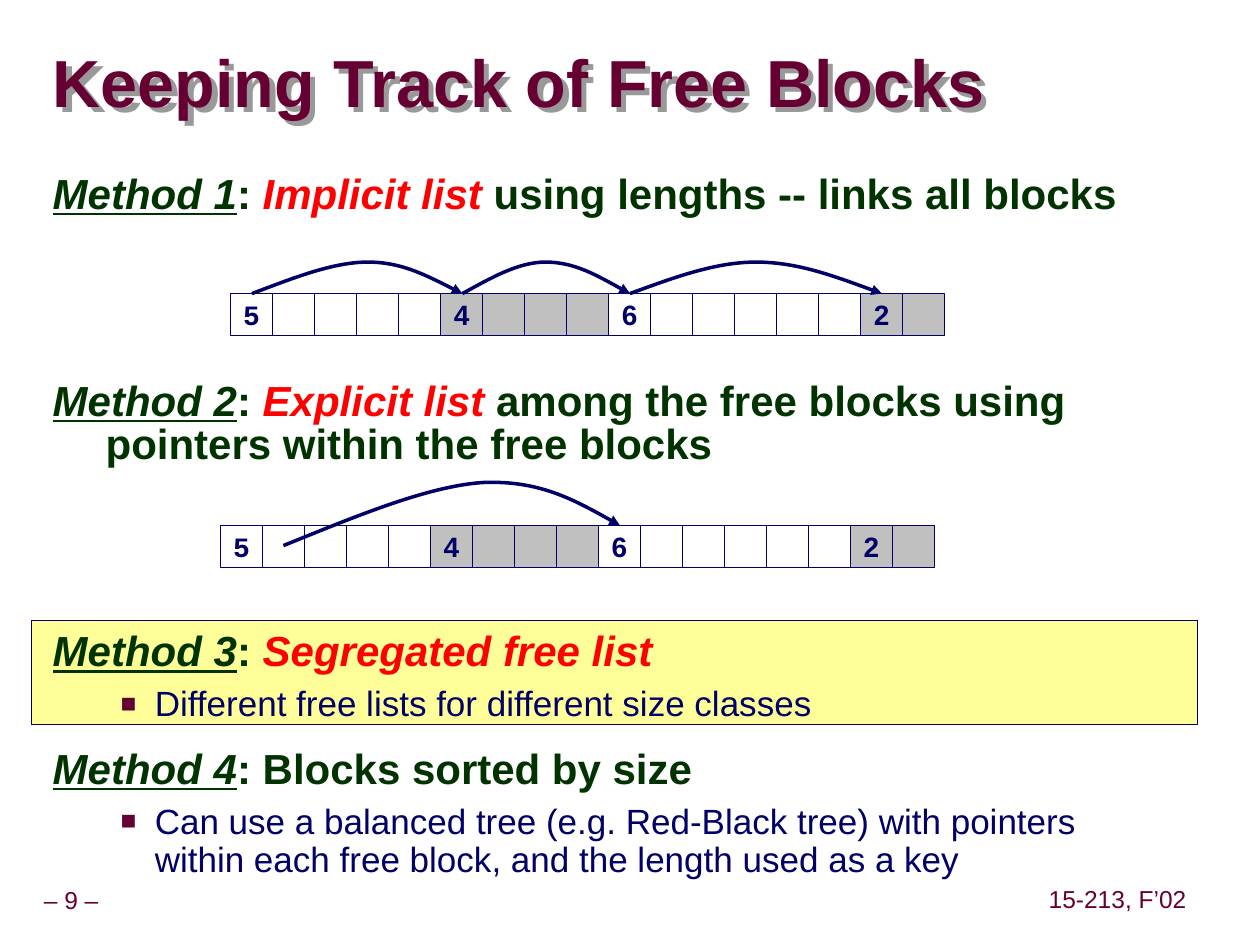
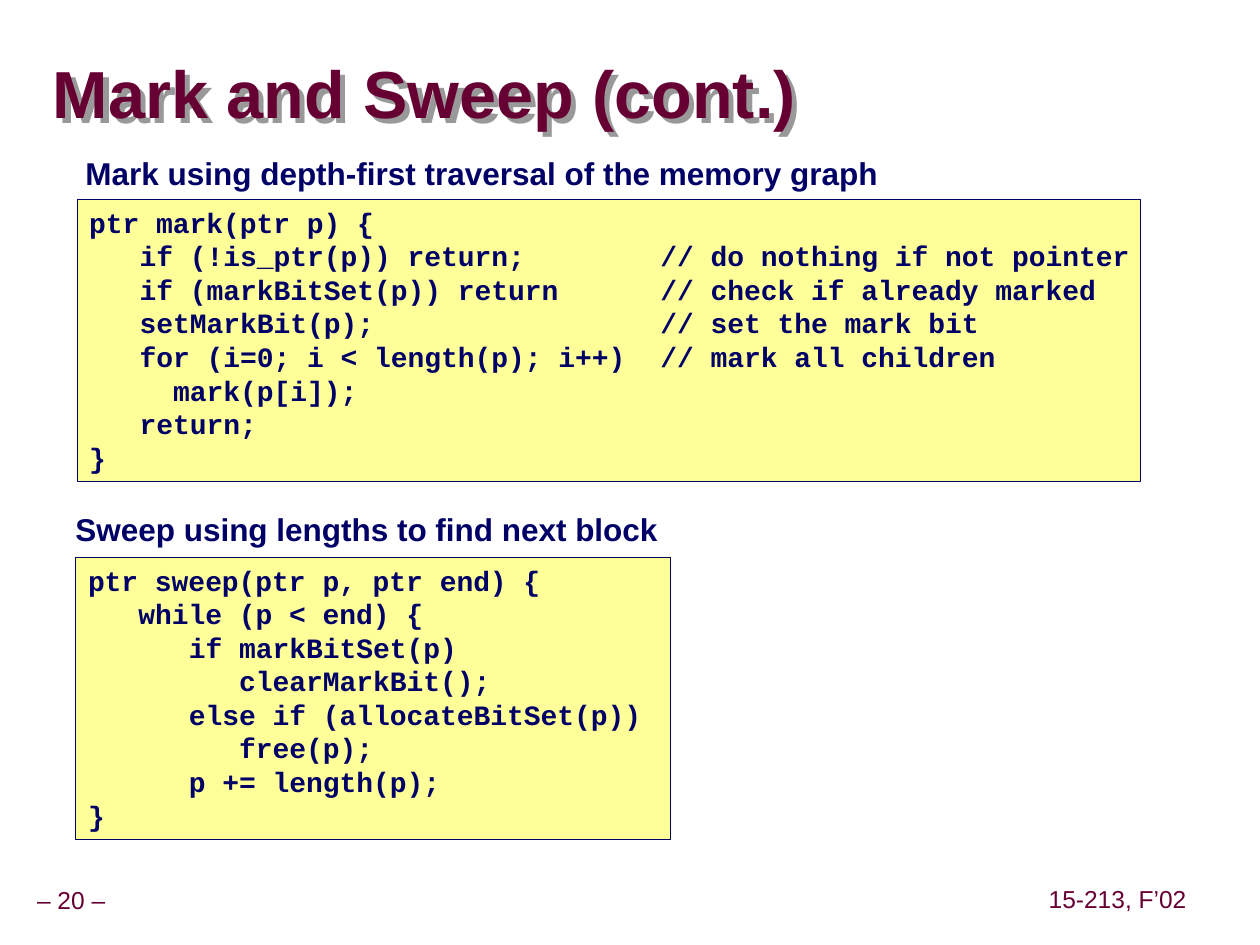
from lxml.etree import SubElement
from pptx import Presentation
from pptx.dml.color import RGBColor
from pptx.enum.dml import MSO_LINE
from pptx.enum.shapes import MSO_SHAPE
from pptx.enum.text import MSO_ANCHOR as Anchor, PP_ALIGN as Align
from pptx.oxml.ns import qn
from pptx.util import Inches, Pt

COLOURS = {
    "maroon": "660033", "green": "003300", "navy": "000066", "red": "FF0000",
    "yellow": "FFFF99", "grey": "C0C0C0", "white": "FFFFFF", "shadow": "999999",
}
SANS, MONO = "Arial", "Courier New"
COURSE = "15-213, F’02"

# Free block methods: label, highlighted name, rest, bullet, space before
METHODS = [
    ("Method 1", "Implicit list", " using lengths -- links all blocks", None, 15),
    ("Method 2", "Explicit list",
     " among the free blocks using pointers within the free blocks", None, 94),
    ("Method 3", "Segregated free list", "",
     "Different free lists for different size classes", 94),
    ("Method 4", "", "Blocks sorted by size",
     "Can use a balanced tree (e.g. Red-Black tree) with pointers within each "
     "free block, and the length used as a key", 15),
]
# Heap blocks: length in cells, fill
BLOCKS = [(5, "white"), (4, "grey"), (6, "white"), (2, "grey")]
HEAP_ROWS = [(1.83, 2.33), (1.75, 4.17)]
CELL = 1 / 3
# Pointer curves: start point, then three points for each Bezier segment
POINTERS = [
    [(2.25, 4.33), (2.82, 4.1), (3.39, 3.86), (3.83, 3.83),
     (4.28, 3.81), (4.6, 3.99), (4.92, 4.17)],
    [(2, 2.33), (2.32, 2.21), (2.64, 2.08), (2.92, 2.08),
     (3.19, 2.08), (3.43, 2.21), (3.67, 2.33)],
    [(3.67, 2.33), (3.89, 2.21), (4.11, 2.08), (4.33, 2.08),
     (4.56, 2.08), (4.78, 2.21), (5, 2.33)],
    [(5, 2.33), (5.33, 2.21), (5.67, 2.08), (6, 2.08),
     (6.33, 2.08), (6.67, 2.21), (7, 2.33)],
]

# Code listings: heading, its place, code place, tab columns, lines
LISTINGS = [
    ("Mark using depth-first traversal of the memory graph",
     (0.58, 1.17, 8.42, 0.4), (0.61, 1.58, 8.44, 2.24), (3, 5, 34), [
         "ptr mark(ptr p) {",
         "\tif (!is_ptr(p)) return;\t// do nothing if not pointer",
         "\tif (markBitSet(p)) return\t// check if already marked",
         "\tsetMarkBit(p);\t// set the mark bit",
         "\tfor (i=0; i < length(p); i++)\t// mark all children",
         "\t\tmark(p[i]);",
         "\treturn;",
         "}",
     ]),
    ("Sweep using lengths to find next block",
     (0.5, 4, 8.42, 0.4), (0.6, 4.42, 4.72, 2.24), (3, 6, 9), [
         "ptr sweep(ptr p, ptr end) {",
         "\twhile (p < end) {",
         "\t\tif markBitSet(p)",
         "\t\t\tclearMarkBit();",
         "\t\telse if (allocateBitSet(p))",
         "\t\t\tfree(p);",
         "\t\tp += length(p);",
         "}",
     ]),
]
CODE_SIZE = 16
CODE_COLUMN = 0.6 * CODE_SIZE / 72  # width of one character in inches


def colour(name):
    return RGBColor.from_string(COLOURS[name])


def set_font(font, size, tint, bold=False, face=SANS):
    font.name, font.size, font.bold = face, Pt(size), bold
    font.color.rgb = colour(tint)


def set_frame(frame, anchor=Anchor.TOP, insets=(0.1, 0.05, 0.1, 0.05), wrap=True):
    frame.word_wrap, frame.vertical_anchor = wrap, anchor
    (frame.margin_left, frame.margin_top,
     frame.margin_right, frame.margin_bottom) = map(Inches, insets)


def add_text(page, place, text, size, tint, bold=False, spacing=None,
             align=Align.LEFT, **layout):
    box = page.shapes.add_textbox(*map(Inches, place))
    set_frame(box.text_frame, **layout)
    para = box.text_frame.paragraphs[0]
    para.text, para.alignment, para.line_spacing = text, align, spacing
    set_font(para.font, size, tint, bold)
    return box


def add_panel(page, place, fill):
    panel = page.shapes.add_shape(MSO_SHAPE.RECTANGLE, *map(Inches, place))
    panel.shadow.inherit = False
    panel.fill.solid()
    panel.fill.fore_color.rgb = colour(fill)
    panel.line.color.rgb = colour("navy")
    panel.line.width = Pt(0.25)
    return panel


def add_title(page, place, text):
    title = add_text(page, place, text, 38, "maroon", True, 0.87,
                     anchor=Anchor.MIDDLE, insets=(0, 0, 0, 0))
    effects = SubElement(title._element.spPr, qn("a:effectLst"))
    shadow = SubElement(effects, qn("a:outerShdw"), dist=str(Inches(0.06)),
                        dir="2700000", algn="ctr", rotWithShape="0")
    SubElement(shadow, qn("a:srgbClr"), val=COLOURS["shadow"])


def add_page(deck, number, title, title_place):
    page = deck.slides.add_slide(deck.slide_layouts[6])
    for text, place in ((f"– {number} –", (-0.09, 7, 1.31, 0.31)),
                        (COURSE, (8.27, 6.99, 1.2, 0.31))):
        add_text(page, place, text, 14, "maroon", spacing=0.9, align=Align.CENTER,
                 anchor=Anchor.MIDDLE, insets=(0.05,) * 4, wrap=False)
    if number == 9:  # highlight band lies behind the text of method 3
        band = add_panel(page, (0.25, 4.92, 9.25, 0.83), "yellow")
        band.line.dash_style = MSO_LINE.ROUND_DOT
    add_title(page, title_place, title)
    return page


def set_indent(para, left, first):
    props = para._p.get_or_add_pPr()
    props.set("marL", str(Inches(left)))
    props.set("indent", str(Inches(first)))
    return props


def add_methods(page):
    frame = page.shapes.add_textbox(*map(Inches, (0.32, 1.34, 9.09, 5.71))).text_frame
    set_frame(frame)
    for index, (label, name, rest, bullet, before) in enumerate(METHODS):
        para = frame.add_paragraph() if index else frame.paragraphs[0]
        para.line_spacing, para.space_before = 0.85, Pt(before)
        set_indent(para, 0.42, -0.42)
        for text, tint, italic, underline in (
                (label, "green", True, True), (": ", "green", False, False),
                (name, "red", True, False), (rest, "green", False, False)):
            if text:
                span = para.add_run()
                span.text = text
                set_font(span.font, 24, tint, True)
                span.font.italic, span.font.underline = italic, underline
        if bullet:
            add_bullet(frame, bullet)


def add_bullet(frame, text):
    para = frame.add_paragraph()
    para.text, para.line_spacing, para.space_before = text, 0.9, Pt(6.2)
    props = set_indent(para, 0.81, -0.27)
    tint = SubElement(props, qn("a:buClr"))
    SubElement(tint, qn("a:srgbClr"), val=COLOURS["maroon"])
    SubElement(props, qn("a:buSzPct"), val="75000")
    SubElement(props, qn("a:buFont"), typeface=SANS)
    SubElement(props, qn("a:buChar"), char="■")
    set_font(para.font, 20, "navy")


def add_heap(page, left, top):
    column = 0
    for length, fill in BLOCKS:
        for offset in range(length):
            cell = add_panel(page, (left + column * CELL, top, CELL, CELL), fill)
            if offset == 0:
                set_frame(cell.text_frame, Anchor.MIDDLE, wrap=False)
                para = cell.text_frame.paragraphs[0]
                para.text, para.alignment = str(length), Align.CENTER
                set_font(para.font, 16, "navy", True, SANS if column else MONO)
            column += 1


def add_pointer(page, points):
    start, *others = [(Inches(x), Inches(y)) for x, y in points]
    builder = page.shapes.build_freeform(*start)
    builder.add_line_segments(others, close=False)
    curve = builder.convert_to_shape()
    curve.shadow.inherit = False
    curve.fill.background()
    curve.line.color.rgb = colour("navy")
    curve.line.width = Pt(2)
    SubElement(curve.line._get_or_add_ln(), qn("a:tailEnd"), type="triangle")
    # Turn each three straight segments into one Bezier segment
    outline = next(curve._element.iter(qn("a:path")))
    lines = outline.findall(qn("a:lnTo"))
    for first in range(0, len(lines), 3):
        bezier = SubElement(outline, qn("a:cubicBezTo"))
        for line in lines[first:first + 3]:
            bezier.append(line[0])
            outline.remove(line)


def add_code(page, place, columns, lines):
    frame = add_panel(page, place, "yellow").text_frame
    set_frame(frame, insets=(0.1, 0.05, 0, 0.05))
    for index, line in enumerate(lines):
        para = frame.add_paragraph() if index else frame.paragraphs[0]
        para.alignment = Align.LEFT
        para.add_run().text = line
        stops = SubElement(para._p.get_or_add_pPr(), qn("a:tabLst"))
        for column in columns:
            SubElement(stops, qn("a:tab"), algn="l",
                       pos=str(Inches(column * CODE_COLUMN)))
        set_font(para.font, CODE_SIZE, "navy", True, MONO)


def main():
    deck = Presentation()
    deck.slide_width, deck.slide_height = Inches(10), Inches(7.5)

    # Free block methods
    page = add_page(deck, 9, "Keeping Track of Free Blocks", (0.42, 0.37, 8, 0.63))
    add_methods(page)
    for left, top in HEAP_ROWS:
        add_heap(page, left, top)
    for points in POINTERS:
        add_pointer(page, points)

    # Mark and sweep code
    page = add_page(deck, 20, "Mark and Sweep (cont.)", (0.42, 0.46, 7.42, 0.63))
    for heading, heading_place, code_place, columns, lines in LISTINGS:
        add_text(page, heading_place, heading, 18, "navy", True)
        add_code(page, code_place, columns, lines)

    deck.save("out.pptx")


if __name__ == "__main__":
    main()
